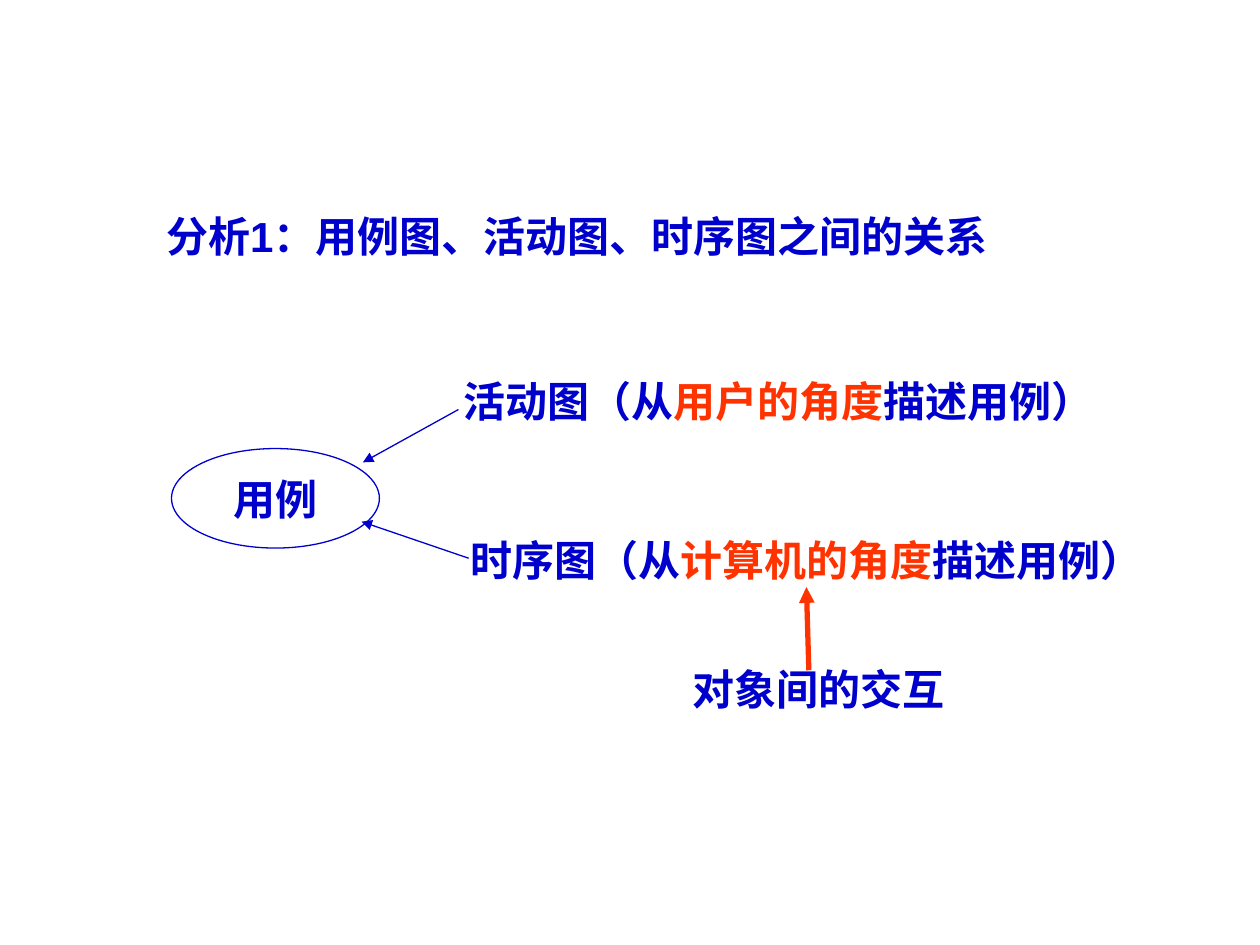
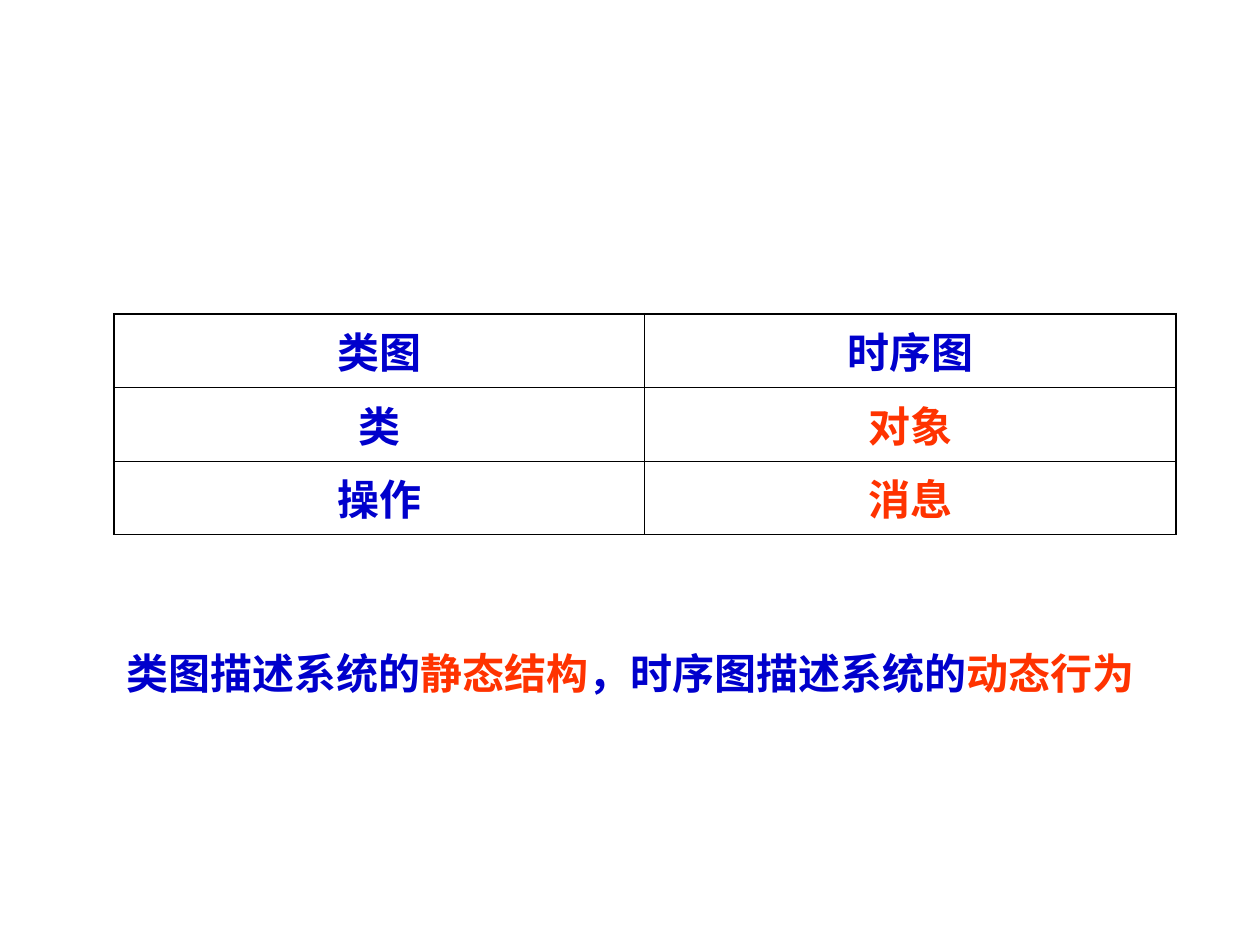
from dataclasses import dataclass

from lxml.etree import SubElement
from pptx import Presentation
from pptx.dml.color import RGBColor
from pptx.enum.shapes import MSO_CONNECTOR, MSO_SHAPE
from pptx.enum.text import MSO_ANCHOR, MSO_AUTO_SIZE, PP_ALIGN
from pptx.oxml.ns import qn
from pptx.util import Pt


@dataclass(frozen=True)
class Theme:
    main: RGBColor = RGBColor(0x00, 0x00, 0xCC)
    accent: RGBColor = RGBColor(0xFF, 0x33, 0x00)
    border: RGBColor = RGBColor(0x00, 0x00, 0x00)
    font: str = "Arial"
    size: float = 24
    thin_line: float = 0.75
    thick_line: float = 3
    inner_border: float = 0.45
    outer_border: float = 1.08
    line_height: float = 36
    statement_space: float = 15
    cell_space: float = 6


THEME = Theme()
PLAIN_LAYOUT, TITLE_LAYOUT = 6, 5


def apply(target, formats):
    for name, value in formats.items():
        setattr(target, name, value)


def points(*lengths):
    return [Pt(length) for length in lengths]


def main(text):
    return text, THEME.main


def accent(text):
    return text, THEME.accent


def write(frame, runs, align=PP_ALIGN.LEFT, space_before=0):
    paragraph = frame.paragraphs[0]
    apply(paragraph, {"alignment": align, "space_before": Pt(space_before)})
    for text, colour in runs:
        run = paragraph.add_run()
        run.text = text
        apply(run.font, {"name": THEME.font, "size": Pt(THEME.size), "bold": True})
        run.font.color.rgb = colour


def set_frame(frame, wrap, anchor=MSO_ANCHOR.TOP, auto_size=MSO_AUTO_SIZE.SHAPE_TO_FIT_TEXT):
    apply(frame, {
        "word_wrap": wrap,
        "vertical_anchor": anchor,
        "auto_size": auto_size,
        "margin_left": Pt(7.2),
        "margin_right": Pt(7.2),
        "margin_top": Pt(3.6),
        "margin_bottom": Pt(3.6),
    })


def add_label(slide, left, top, width, runs, wrap=False, space_before=0):
    label = slide.shapes.add_textbox(*points(left, top, width, THEME.line_height))
    set_frame(label.text_frame, wrap)
    write(label.text_frame, runs, space_before=space_before)


def add_arrow(slide, start, end, colour, width):
    arrow = slide.shapes.add_connector(MSO_CONNECTOR.STRAIGHT, *points(*start, *end))
    arrow.line.color.rgb = colour
    arrow.line.width = Pt(width)
    properties = arrow.element.spPr
    SubElement(properties.find(qn("a:ln")), qn("a:tailEnd"), type="triangle")
    SubElement(properties, qn("a:effectLst"))


def set_title(slide, left, top, width, text):
    title = slide.shapes.title
    box = points(left, top, width, THEME.line_height)
    apply(title, dict(zip(("left", "top", "width", "height"), box)))
    set_frame(title.text_frame, wrap=True)
    write(title.text_frame, [main(text)], space_before=THEME.statement_space)


def add_use_case(slide, left, top, width, height):
    ellipse = slide.shapes.add_shape(MSO_SHAPE.OVAL, *points(left, top, width, height))
    ellipse.shadow.inherit = False
    ellipse.fill.background()
    ellipse.line.color.rgb = THEME.main
    ellipse.line.width = Pt(THEME.thin_line)
    set_frame(ellipse.text_frame, False, MSO_ANCHOR.MIDDLE, MSO_AUTO_SIZE.NONE)
    write(ellipse.text_frame, [main("用例")], PP_ALIGN.CENTER)


def add_relations(slide, left, top):
    labels = [
        (160, 0, 374.4, [main("活动图（从"), accent("用户的角度"), main("描述用例）")]),
        (164, 90.7, 398.2, [main("时序图（从"), accent("计算机的角度"), main("描述用例）")]),
        (290.8, 164.8, 158.4, [main("对象间的交互")]),
    ]
    for x, y, width, runs in labels:
        add_label(slide, left + x, top + y, width, runs)

    add_use_case(slide, left, top + 45.3, 118.8, 56.9)

    arrows = [
        ((164, 23), (109.4, 53.2), THEME.main, THEME.thin_line),
        ((169.8, 108), (108.6, 87.1), THEME.main, THEME.thin_line),
        ((364.2, 172), (362.8, 124.5), THEME.accent, THEME.thick_line),
    ]
    for (x1, y1), (x2, y2), colour, width in arrows:
        add_arrow(slide, (left + x1, top + y1), (left + x2, top + y2), colour, width)


def set_borders(cell, widths):
    properties = cell._tc.get_or_add_tcPr()
    for index, (side, width) in enumerate(widths.items()):
        line = SubElement(properties, qn(f"a:ln{side}"), w=str(int(Pt(width))))
        fill = SubElement(line, qn("a:solidFill"))
        SubElement(fill, qn("a:srgbClr"), val=str(THEME.border))
        properties.insert(index, line)


def add_comparison_table(slide, left, top, width, rows):
    row_count, column_count = len(rows), len(rows[0])
    frame = slide.shapes.add_table(
        row_count, column_count, *points(left, top, width, row_count * THEME.line_height))
    table = frame.table
    apply(table, {"first_row": False, "horz_banding": False})
    for column in table.columns:
        column.width = Pt(width / column_count)
    for row_index, row in enumerate(rows):
        for column_index, run in enumerate(row):
            cell = table.cell(row_index, column_index)
            cell.fill.background()
            write(cell.text_frame, [run], PP_ALIGN.CENTER, THEME.cell_space)
            outer = {
                "L": column_index == 0,
                "R": column_index == column_count - 1,
                "T": row_index == 0,
                "B": False,
            }
            set_borders(cell, {
                side: THEME.outer_border if is_outer else THEME.inner_border
                for side, is_outer in outer.items()
            })


def add_relations_slide(presentation):
    slide = presentation.slides.add_slide(presentation.slide_layouts[TITLE_LAYOUT])
    set_title(slide, 87.8, 116.6, 561.6, "分析1：用例图、活动图、时序图之间的关系")
    add_relations(slide, 98, 211)


def add_comparison_slide(presentation):
    slide = presentation.slides.add_slide(presentation.slide_layouts[PLAIN_LAYOUT])
    left, width = 65, 607
    add_comparison_table(slide, left, 179.3, width, [
        (main("类图"), main("时序图")),
        (main("类"), accent("对象")),
        (main("操作"), accent("消息")),
    ])
    conclusion = [
        main("类图描述系统的"), accent("静态结构"),
        main("，时序图描述系统的"), accent("动态行为"),
    ]
    add_label(slide, left, 366.5, width, conclusion, True, THEME.statement_space)


def build():
    presentation = Presentation()
    apply(presentation, {"slide_width": Pt(720), "slide_height": Pt(540)})
    add_relations_slide(presentation)
    add_comparison_slide(presentation)
    presentation.save("out.pptx")


if __name__ == "__main__":
    build()
